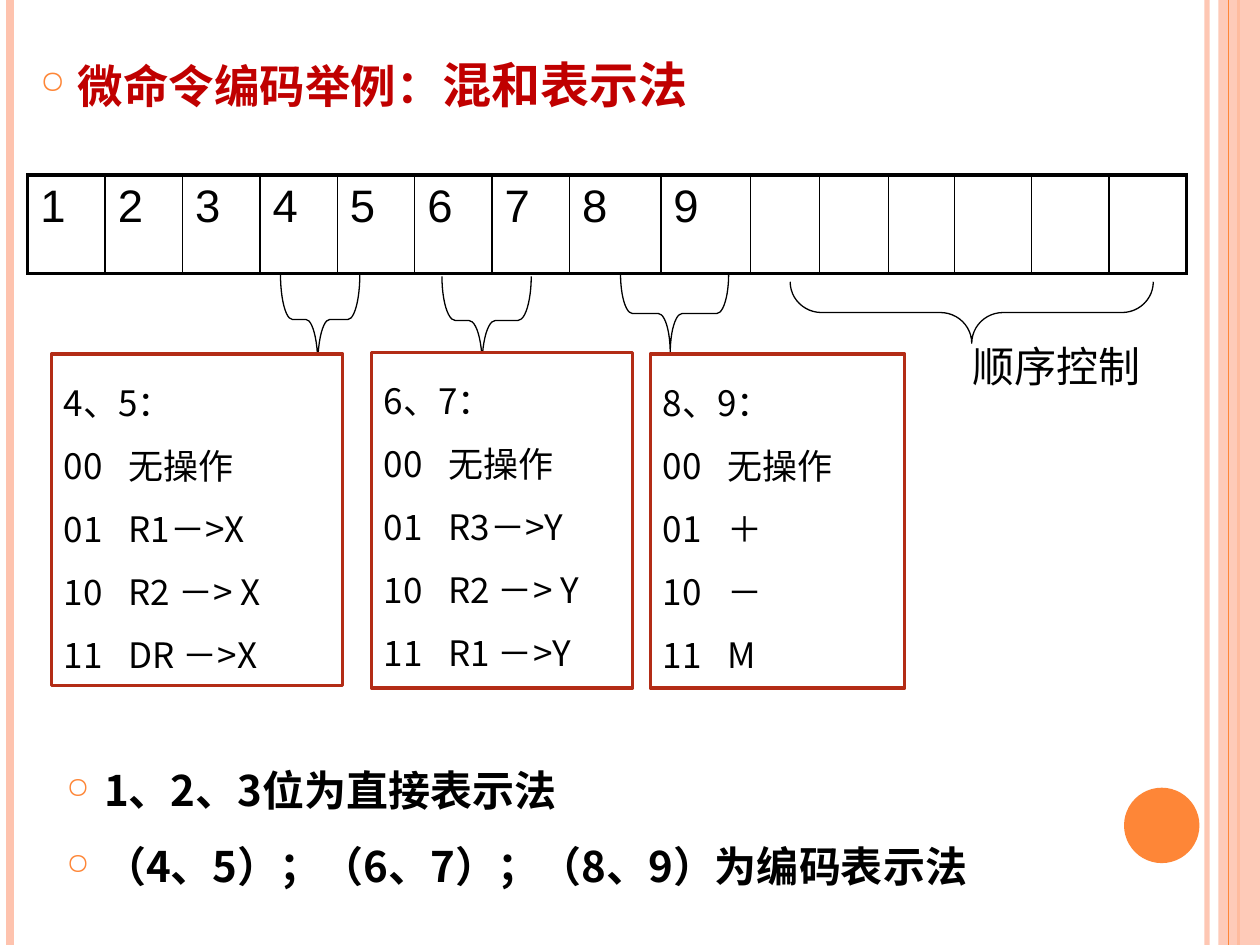
from typing import NamedTuple

from lxml import etree
from pptx import Presentation
from pptx import util as u
from pptx.dml.color import RGBColor
from pptx.enum import shapes, text
from pptx.oxml import ns

SANS = "Noto Sans CJK SC"
BLACK, ORANGE, PEACH, RED, WHITE = "000000", "FE8637", "FEC3AE", "C00000", "FFFFFF"
PAGE_W, PAGE_H = 25.4, 19.05


class Frame(NamedTuple):
    left: float
    top: float
    width: float
    height: float

    def lengths(self) -> list:
        return [u.Cm(value) for value in self]


class Rule(NamedTuple):
    x: float
    color: str
    width: float
    opacity: int = 100


class Brace(NamedTuple):
    frame: Frame
    curve: float
    tip: float


class Field(NamedTuple):
    frame: Frame
    heading: str
    meanings: list


class Span(NamedTuple):
    words: str
    size: float
    color: str = BLACK
    bold: bool = False
    font: str = SANS


RULES = [Rule(24.33, PEACH, 3, 93), Rule(0.2, PEACH, 4.5), Rule(24.97, ORANGE, 1.5)]
INNER_RULE = Rule(24.77, ORANGE, 0.75)
COLUMNS = [1.56] * 7 + [1.84, 1.81, 1.39, 1.39, 1.33] + [1.56] * 3
BRACES = [
    Brace(Frame(18.97, 2.64, 1.24, 7.32), 0.51, 0.5),
    Brace(Frame(5.54, 5.64, 1.83, 1.6), 0.15, 0.47),
    Brace(Frame(8.92, 5.56, 1.78, 1.8), 0.15, 0.45),
    Brace(Frame(12.8, 5.23, 1.6, 2.18), 0.15, 0.46),
]
FIELDS = [
    Field(Frame(1.04, 7.14, 5.87, 6.68), "4、5：", ["无操作", "R1－>X", "R2 －> X", "DR －>X"]),
    Field(Frame(7.49, 7.11, 5.26, 6.76), "6、7：", ["无操作", "R3－>Y", "R2 －> Y", "R1 －>Y"]),
    Field(Frame(13.11, 7.14, 5.13, 6.73), "8、9：", ["无操作", "＋", "－", "M"]),
]


def rgb(value: str) -> RGBColor:
    return RGBColor.from_string(value)


def add_node(parent, tag: str, **attributes):
    return etree.SubElement(parent, ns.qn(tag), **attributes)


def set_opacity(element, percent: int) -> None:
    if percent < 100:
        color = next(element.iter(ns.qn("a:srgbClr")))
        add_node(color, "a:alpha", val=str(percent * 1000))


def add_spans(para, spans: list) -> None:
    for span in spans:
        run = para.add_run()
        run.text = span.words
        run.font.size = u.Pt(span.size)
        run.font.name = span.font
        run.font.bold = span.bold
        run.font.color.rgb = rgb(span.color)
        add_node(run.font._element, "a:ea", typeface=SANS)


def add_rule(page, rule: Rule) -> None:
    x = u.Cm(rule.x)
    line = page.shapes.add_connector(shapes.MSO_CONNECTOR.STRAIGHT, x, 0, x, u.Cm(PAGE_H))
    line.line.color.rgb = rgb(rule.color)
    line.line.width = u.Pt(rule.width)
    properties = line._element.spPr
    set_opacity(properties, rule.opacity)
    add_node(properties, "a:effectLst")


def add_shape(page, kind, frame: Frame, fill: str = "", line: str = "", width: float = 0):
    shape = page.shapes.add_shape(kind, *frame.lengths())
    shape.shadow.inherit = False
    if fill:
        shape.fill.solid()
        shape.fill.fore_color.rgb = rgb(fill)
    else:
        shape.fill.background()
    if line:
        shape.line.color.rgb = rgb(line)
        shape.line.width = u.Pt(width)
    else:
        shape.line.fill.background()
    return shape


def add_decoration(page) -> None:
    for rule in RULES:
        add_rule(page, rule)
    kind = shapes.MSO_SHAPE
    band = add_shape(page, kind.RECTANGLE, Frame(24.56, 0, 0.84, PAGE_H), PEACH)
    set_opacity(band._element.spPr, 87)
    add_rule(page, INNER_RULE)
    add_shape(page, kind.OVAL, Frame(22.66, 15.88, 1.52, 1.52), ORANGE)


def set_border(cell, side: str, width: float) -> None:
    edge = add_node(cell._tc.get_or_add_tcPr(), f"a:{side}", w=str(u.Pt(width)))
    add_node(add_node(edge, "a:solidFill"), "a:srgbClr", val=BLACK)


def add_bit_table(page) -> None:
    frame = Frame(0.56, 3.53, sum(COLUMNS), 1.98)
    table = page.shapes.add_table(1, len(COLUMNS), *frame.lengths()).table
    table.first_row = table.horz_banding = False
    last = len(COLUMNS) - 1
    for index, width in enumerate(COLUMNS):
        table.columns[index].width = u.Cm(width)
        cell = table.cell(0, index)
        set_border(cell, "lnL", 2.25 if index == 0 else 1)
        set_border(cell, "lnR", 2.25 if index == last else 1)
        set_border(cell, "lnT", 2.25)
        set_border(cell, "lnB", 2.25)
        cell.fill.background()
        if index < 9:
            add_spans(cell.text_frame.paragraphs[0], [Span(str(index + 1), 26, font="Arial")])


def add_brace(page, brace: Brace) -> None:
    shape = add_shape(page, shapes.MSO_SHAPE.LEFT_BRACE, brace.frame, line=BLACK, width=0.75)
    shape.rotation = 270
    shape.adjustments[0] = brace.curve
    shape.adjustments[1] = brace.tip


def add_field(page, field: Field) -> None:
    box = add_shape(page, shapes.MSO_SHAPE.RECTANGLE, field.frame, WHITE, "B32C16", 2)
    body = box.text_frame
    body.word_wrap = True
    body.vertical_anchor = text.MSO_ANCHOR.TOP
    codes = [f"{code:02b}\t{meaning}" for code, meaning in enumerate(field.meanings)]
    for index, words in enumerate([field.heading] + codes):
        para = body.add_paragraph() if index else body.paragraphs[0]
        tabs = add_node(para._p.get_or_add_pPr(), "a:tabLst")
        add_node(tabs, "a:tab", pos=str(u.Cm(1.3)), algn="l")
        para.alignment = text.PP_ALIGN.LEFT
        para.line_spacing = u.Pt(36)
        add_spans(para, [Span(words, 20)])


def add_bullets(page, frame: Frame, lines: list, spacing: float) -> None:
    body = page.shapes.add_textbox(*frame.lengths()).text_frame
    body.word_wrap = True
    body.vertical_anchor = text.MSO_ANCHOR.MIDDLE
    for index, spans in enumerate(lines):
        para = body.add_paragraph() if index else body.paragraphs[0]
        properties = para._p.get_or_add_pPr()
        properties.set("marL", str(u.Cm(0.76)))
        properties.set("indent", str(u.Cm(-0.76)))
        add_node(add_node(properties, "a:buClr"), "a:srgbClr", val=ORANGE)
        add_node(properties, "a:buSzPct", val="70000")
        add_node(properties, "a:buChar", char="○")
        para.line_spacing = u.Pt(spacing)
        if index:
            para.space_before = u.Pt(6)
        add_spans(para, spans)


def main() -> None:
    """Build the slide on mixed microcommand encoding."""
    deck = Presentation()
    deck.slide_width, deck.slide_height = u.Cm(PAGE_W), u.Cm(PAGE_H)
    page = deck.slides.add_slide(deck.slide_layouts[6])
    add_decoration(page)
    add_bit_table(page)
    for brace in BRACES:
        add_brace(page, brace)
    label = page.shapes.add_textbox(*Frame(19.35, 6.73, 3.89, 1.27).lengths()).text_frame
    label.word_wrap = False
    add_spans(label.paragraphs[0], [Span("顺序控制", 24, font="Times New Roman")])
    for field in FIELDS:
        add_field(page, field)
    notes = ["1、2、3位为直接表示法", "（4、5）；（6、7）；（8、9）为编码表示法"]
    note_lines = [[Span(words, 24, bold=True)] for words in notes]
    add_bullets(page, Frame(1.09, 14.86, 21.21, 3.35), note_lines, 37.4)
    title = [Span("微命令编码举例：", 26, RED, True), Span("混和表示法", 28, RED, True)]
    add_bullets(page, Frame(0.56, 0.43, 24.36, 2.18), [title], 43.7)
    deck.save("out.pptx")


if __name__ == "__main__":
    main()
